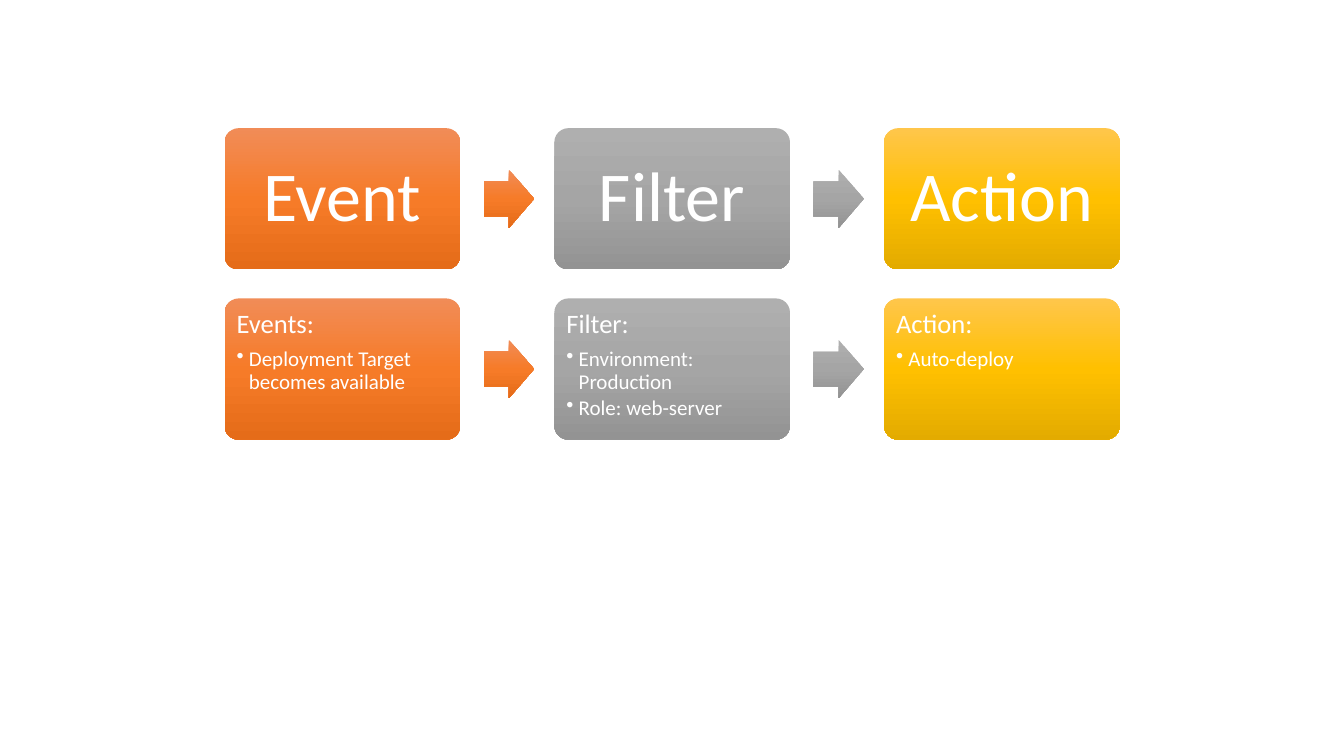
from copy import deepcopy
from dataclasses import dataclass

from lxml.etree import SubElement
from pptx import Presentation
from pptx.dml.color import RGBColor
from pptx.enum.shapes import MSO_SHAPE as Preset
from pptx.enum.text import MSO_ANCHOR as Anchor, PP_ALIGN as Align
from pptx.oxml.ns import qn
from pptx.util import Cm, Pt

COLORS = {
    "orange": ("F18C57", "F67B28", "E56C19"),
    "gray": ("AFAFAF", "A5A5A5", "939393"),
    "gold": ("FFC64B", "FFC000", "E3AB00"),
    "text": "FFFFFF",
}
FONT = "Calibri"
LEFT, COLUMN_PITCH = 5.66, 8.31
TITLE_TOP, DETAIL_TOP = 3.23, 7.52
CARD_WIDTH, CARD_HEIGHT = 5.94, 3.56
ARROW_OFFSET, ARROW_WIDTH, ARROW_HEIGHT = 6.53, 1.27, 1.47
BULLET_INDENT = 0.31


@dataclass
class Step:
    title: str
    heading: str
    items: tuple[str, ...]
    color: str


STEPS = (
    Step("Event", "Events:", ("Deployment Target becomes available",), "orange"),
    Step("Filter", "Filter:", ("Environment: Production", "Role: web-server"), "gray"),
    Step("Action", "Action:", ("Auto-deploy",), "gold"),
)


def add_gradient_shape(page, preset: Preset, box: tuple, adjustments: tuple, color: str):
    """Add a borderless shape with a three-stop gradient running downwards."""
    shape = page.shapes.add_shape(preset, *(Cm(length) for length in box))
    for index, value in enumerate(adjustments):
        shape.adjustments[index] = value
    shape.shadow.inherit = False
    shape.line.fill.background()
    shape.fill.gradient()
    shape.fill.gradient_angle = 270
    stop_list = shape._element.spPr.find(qn("a:gradFill")).find(qn("a:gsLst"))
    stop_list.insert(1, deepcopy(stop_list[0]))
    for stop, position, tone in zip(shape.fill.gradient_stops, (0, 0.5, 1), COLORS[color]):
        stop.position = position
        stop.color.rgb = RGBColor.from_string(tone)
    return shape


def add_card(page, left: float, top: float, color: str, inset: float, anchor: Anchor):
    """Add a rounded card and return its empty text frame."""
    box = (left, top, CARD_WIDTH, CARD_HEIGHT)
    frame = add_gradient_shape(page, Preset.ROUNDED_RECTANGLE, box, (0.1,), color).text_frame
    frame.word_wrap = True
    frame.vertical_anchor = anchor
    frame.margin_left = frame.margin_right = Cm(inset)
    frame.margin_top = frame.margin_bottom = Cm(inset)
    return frame


def write(para, text: str, size: int, align: Align, space_after: float) -> None:
    para.alignment = align
    para.line_spacing = 0.9
    para.space_after = Pt(size * space_after)
    span = para.add_run()
    span.text = text
    span.font.name = FONT
    span.font.size = Pt(size)
    span.font.color.rgb = RGBColor.from_string(COLORS["text"])


def add_bullet(para) -> None:
    properties = para._p.get_or_add_pPr()
    properties.set("marL", str(Cm(BULLET_INDENT)))
    properties.set("indent", str(-Cm(BULLET_INDENT)))
    SubElement(properties, qn("a:buChar")).set("char", "•")


def add_title_card(page, step: Step, left: float) -> None:
    frame = add_card(page, left, TITLE_TOP, step.color, 0.53, Anchor.MIDDLE)
    write(frame.paragraphs[0], step.title, 50, Align.CENTER, 0.35)


def add_detail_card(page, step: Step, left: float) -> None:
    frame = add_card(page, left, DETAIL_TOP, step.color, 0.2, Anchor.TOP)
    write(frame.paragraphs[0], step.heading, 19, Align.LEFT, 0.35)
    for item in step.items:
        para = frame.add_paragraph()
        para.level = 1
        write(para, item, 15, Align.LEFT, 0.15)
        add_bullet(para)


def add_arrow(page, left: float, top: float, color: str) -> None:
    """Add the arrow that follows the card at this place."""
    arrow_top = top + (CARD_HEIGHT - ARROW_HEIGHT) / 2
    box = (left + ARROW_OFFSET, arrow_top, ARROW_WIDTH, ARROW_HEIGHT)
    add_gradient_shape(page, Preset.RIGHT_ARROW, box, (0.6, 0.5), color)


def main() -> None:
    deck = Presentation()
    deck.slide_width, deck.slide_height = Cm(33.87), Cm(19.05)
    page = deck.slides.add_slide(deck.slide_layouts[6])
    for top, add_row_card in ((TITLE_TOP, add_title_card), (DETAIL_TOP, add_detail_card)):
        for column, step in enumerate(STEPS):
            left = LEFT + column * COLUMN_PITCH
            add_row_card(page, step, left)
            if step is not STEPS[-1]:
                add_arrow(page, left, top, step.color)
    deck.save("out.pptx")


if __name__ == "__main__":
    main()
